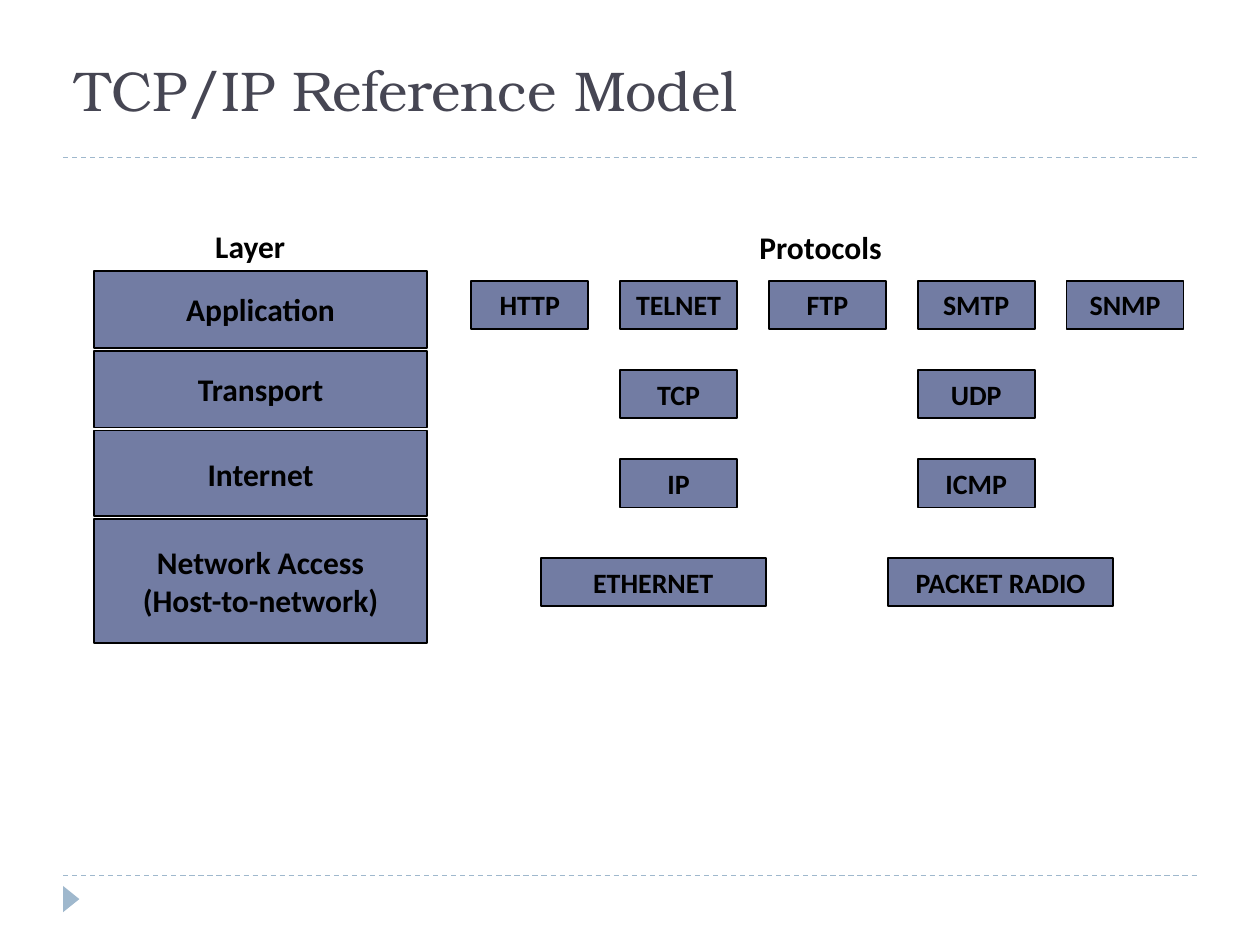
from dataclasses import dataclass

from lxml import etree
from pptx import Presentation
from pptx.dml.color import RGBColor
from pptx.enum.dml import MSO_LINE
from pptx.enum.shapes import MSO_CONNECTOR, MSO_SHAPE
from pptx.enum.text import MSO_ANCHOR, MSO_AUTO_SIZE, PP_ALIGN
from pptx.oxml.ns import qn
from pptx.util import Cm, Pt

RECT = MSO_SHAPE.RECTANGLE
WEDGE = MSO_SHAPE.ISOSCELES_TRIANGLE
STRAIGHT = MSO_CONNECTOR.STRAIGHT
DASH = MSO_LINE.DASH
MIDDLE = MSO_ANCHOR.MIDDLE
LEFT, CENTER = PP_ALIGN.LEFT, PP_ALIGN.CENTER
FIXED, GROW = MSO_AUTO_SIZE.NONE, MSO_AUTO_SIZE.SHAPE_TO_FIT_TEXT


@dataclass(frozen=True)
class Theme:
    fill: str = "727CA3"
    ink: str = "000000"
    title: str = "464653"
    rule: str = "9FB8CD"
    head: str = "TeX Gyre Bonum"
    body: str = "Calibri"
    big: int = 32
    mid: int = 18
    small: int = 16


THEME = Theme()
LAYERS = [
    ("Application", 1.55),
    ("Transport", 1.55),
    ("Internet", 1.73),
    ("Network Access\v(Host-to-network)", 2.49),
]
GRID = [
    ["HTTP", "TELNET", "FTP", "SMTP", "SNMP"],
    [None, "TCP", None, "UDP", None],
    [None, "IP", None, "ICMP", None],
]
LINKS = ["ETHERNET", "PACKET RADIO"]


def tint(code):
    return RGBColor.from_string(code)


def write(frame, text, size=THEME.mid, font=THEME.body, color=THEME.ink,
          bold=True, align=CENTER, wrap=False):
    frame.word_wrap = wrap
    para = frame.paragraphs[0]
    para.text = text
    para.alignment = align
    for run in para.runs:
        run.font.size = Pt(size)
        run.font.name = font
        run.font.bold = bold
        run.font.color.rgb = tint(color)


def add_box(slide, text, x, y, wide, high, size):
    box = slide.shapes.add_shape(RECT, Cm(x), Cm(y), Cm(wide), Cm(high))
    box.shadow.inherit = False
    box.fill.solid()
    box.fill.fore_color.rgb = tint(THEME.fill)
    box.line.color.rgb = tint(THEME.ink)
    box.line.width = Pt(1)
    box.text_frame.vertical_anchor = MIDDLE
    write(box.text_frame, text, size=size)


def add_label(slide, text, x, y, wide):
    label = slide.shapes.add_textbox(Cm(x), Cm(y), Cm(wide), Cm(1.02))
    write(label.text_frame, text, align=LEFT, wrap=True)
    label.text_frame.auto_size = GROW


def add_rule(slide, y):
    rule = slide.shapes.add_connector(STRAIGHT, Cm(1.27), Cm(y), Cm(24.13), Cm(y))
    rule.line.color.rgb = tint(THEME.rule)
    rule.line.width = Pt(0.75)
    rule.line.dash_style = DASH
    etree.SubElement(rule._element.spPr, qn("a:effectLst"))


def add_wedge(slide):
    wedge = slide.shapes.add_shape(WEDGE, Cm(1.17), Cm(17.96), Cm(0.53), Cm(0.33))
    wedge.rotation = 90
    wedge.shadow.inherit = False
    wedge.fill.solid()
    wedge.fill.fore_color.rgb = tint(THEME.rule)
    wedge.line.fill.background()


def set_title(slide, text):
    title = slide.shapes.title
    title.left, title.top = Cm(1.27), Cm(0.43)
    title.width, title.height = Cm(22.86), Cm(2.74)
    frame = title.text_frame
    frame.auto_size = FIXED
    frame.vertical_anchor = MIDDLE
    frame.margin_right = 0
    write(frame, text, size=THEME.big, font=THEME.head, color=THEME.title,
          bold=False, align=LEFT, wrap=True)


def add_layers(slide):
    add_label(slide, "Layer", 4.09, 4.45, 2.18)
    top, gap = 5.46, 0.06
    for name, high in LAYERS:
        add_box(slide, name, 1.9, top, 6.71, high, THEME.mid)
        top += high + gap


def add_stack(slide):
    add_label(slide, "Protocols", 15.06, 4.47, 3.38)
    high = 0.97
    for row, names in enumerate(GRID):
        for col, name in enumerate(names):
            if name:
                add_box(slide, name, 9.5 + 3 * col, 5.66 + 1.8 * row,
                        2.36, high, THEME.small)
    for col, name in enumerate(LINKS):
        add_box(slide, name, 10.9 + 7 * col, 11.25, 4.54, high, THEME.small)


def main():
    deck = Presentation()
    deck.slide_width, deck.slide_height = Cm(25.4), Cm(19.05)
    slide = deck.slides.add_slide(deck.slide_layouts[5])
    for y in (17.65, 3.18):
        add_rule(slide, y)
    add_wedge(slide)
    set_title(slide, "TCP/IP Reference Model")
    add_layers(slide)
    add_stack(slide)
    deck.save("out.pptx")


if __name__ == "__main__":
    main()
